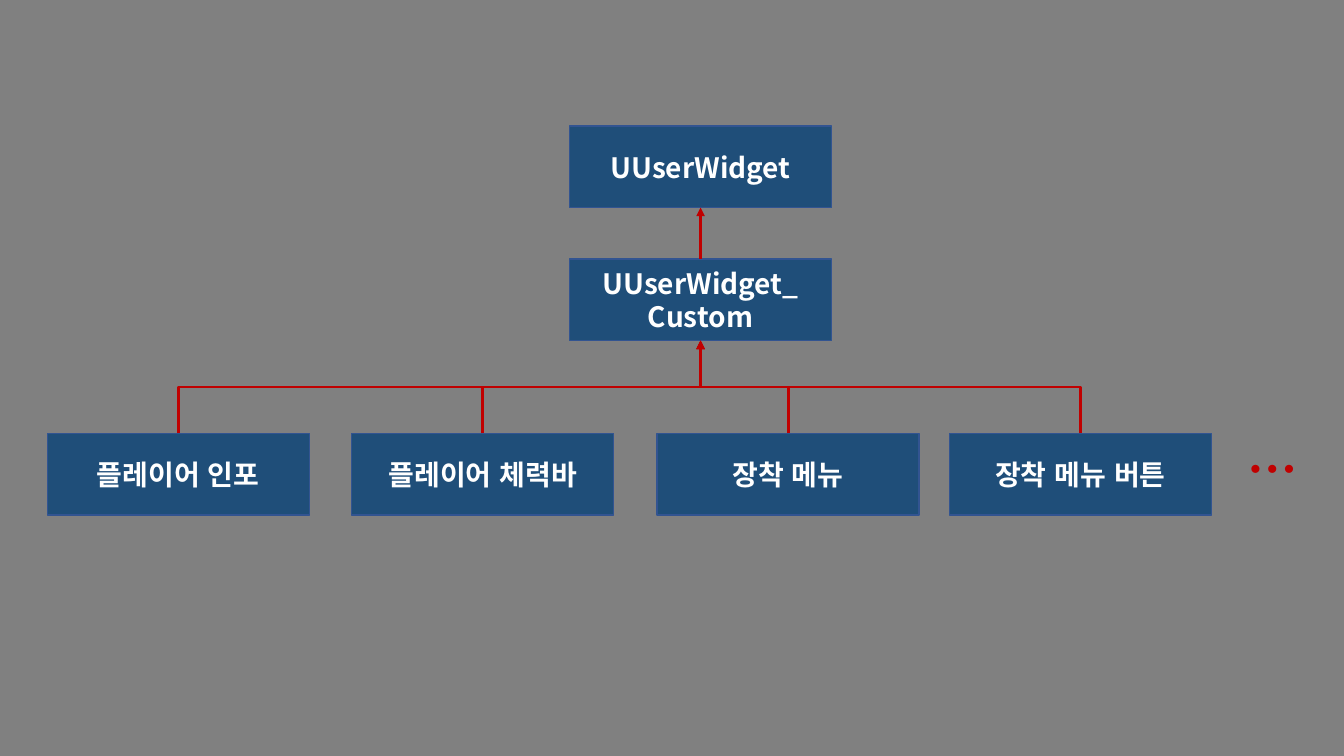
from dataclasses import dataclass

from lxml.etree import SubElement as Sub
from pptx import Presentation
from pptx.dml.color import RGBColor as Rgb
from pptx.enum.lang import MSO_LANGUAGE_ID as Lang
from pptx.enum.shapes import MSO_CONNECTOR as Link, MSO_SHAPE as Form
from pptx.enum.text import MSO_ANCHOR as Anchor, MSO_AUTO_SIZE as Fit, PP_ALIGN as Align
from pptx.oxml.ns import qn
from pptx.util import Pt


@dataclass(frozen=True)
class Theme:
    font: str = "Noto Sans CJK KR"
    back: Rgb = Rgb(0x80, 0x80, 0x80)
    fill: Rgb = Rgb(0x1F, 0x4E, 0x79)
    edge: Rgb = Rgb(0x32, 0x54, 0x91)
    text: Rgb = Rgb(0xFF, 0xFF, 0xFF)
    mark: Rgb = Rgb(0xC0, 0x00, 0x00)
    label: int = 20
    dots: int = 36


THEME = Theme()
WIDE, HIGH = 187.2, 58.3
STEM = 406.8
ROW = 309.6
LEAVES = (
    (33.8, "플레이어 인포"),
    (251.3, "플레이어 체력바"),
    (469.4, "장착 메뉴"),
    (678.2, "장착 메뉴 버튼"),
)


def add_run(para, text, size, color):
    run = para.add_run()
    run.text = text
    font = run.font
    font.name, font.size, font.bold = THEME.font, Pt(size), True
    font.color.rgb = color
    font.language_id = Lang.KOREAN
    Sub(run._r.get_or_add_rPr(), qn("a:ea")).set("typeface", THEME.font)


def add_box(slide, left, top, *lines):
    box = slide.shapes.add_shape(Form.RECTANGLE, Pt(left), Pt(top), Pt(WIDE), Pt(HIGH))
    box.shadow.inherit = False
    box.fill.solid()
    box.fill.fore_color.rgb = THEME.fill
    box.line.color.rgb = THEME.edge
    box.line.width = Pt(1)
    frame = box.text_frame
    frame.word_wrap = True
    frame.vertical_anchor = Anchor.MIDDLE
    for rank, text in enumerate(lines):
        para = frame.add_paragraph() if rank else frame.paragraphs[0]
        para.alignment = Align.CENTER
        add_run(para, text, THEME.label, THEME.text)
    return box


def add_arrow(slide, child, parent, kind):
    arrow = slide.shapes.add_connector(kind, 0, 0, 0, 0)
    arrow.begin_connect(child, 0)
    arrow.end_connect(parent, 2)
    arrow.line.color.rgb = THEME.mark
    arrow.line.width = Pt(2)
    Sub(arrow.line._get_or_add_ln(), qn("a:tailEnd")).set("type", "triangle")
    Sub(arrow._element.spPr, qn("a:effectLst"))
    return arrow


def turn_up(arrow):
    x1, y1, x2, y2 = arrow.begin_x, arrow.begin_y, arrow.end_x, arrow.end_y
    mid_x, mid_y = (x1 + x2) // 2, (y1 + y2) // 2
    rise, shift = (y1 - y2) // 2, (x1 - x2) // 2
    arrow.begin_x, arrow.end_x = mid_x - rise, mid_x + rise
    arrow.begin_y, arrow.end_y = mid_y + shift, mid_y - shift
    arrow._element.spPr.xfrm.set("rot", str(270 * 60000))


def add_dots(slide, left, top, side):
    note = slide.shapes.add_textbox(Pt(left), Pt(top), Pt(side), Pt(side))
    frame = note.text_frame
    frame.word_wrap = False
    frame.auto_size = Fit.SHAPE_TO_FIT_TEXT
    add_run(frame.paragraphs[0], "…", THEME.dots, THEME.mark)


def main():
    deck = Presentation()
    deck.slide_width, deck.slide_height = Pt(960), Pt(540)
    slide = deck.slides.add_slide(deck.slide_layouts[6])
    slide.background.fill.solid()
    slide.background.fill.fore_color.rgb = THEME.back

    root = add_box(slide, STEM, 90, "UUserWidget")
    base = add_box(slide, STEM, 185, "UUserWidget_", "Custom")
    leaves = [add_box(slide, left, ROW, text) for left, text in LEAVES]
    for leaf in leaves:
        turn_up(add_arrow(slide, leaf, base, Link.ELBOW))
    add_arrow(slide, base, root, Link.STRAIGHT)
    add_dots(slide, 884.2, ROW, 51.1)
    deck.save("out.pptx")


main()
